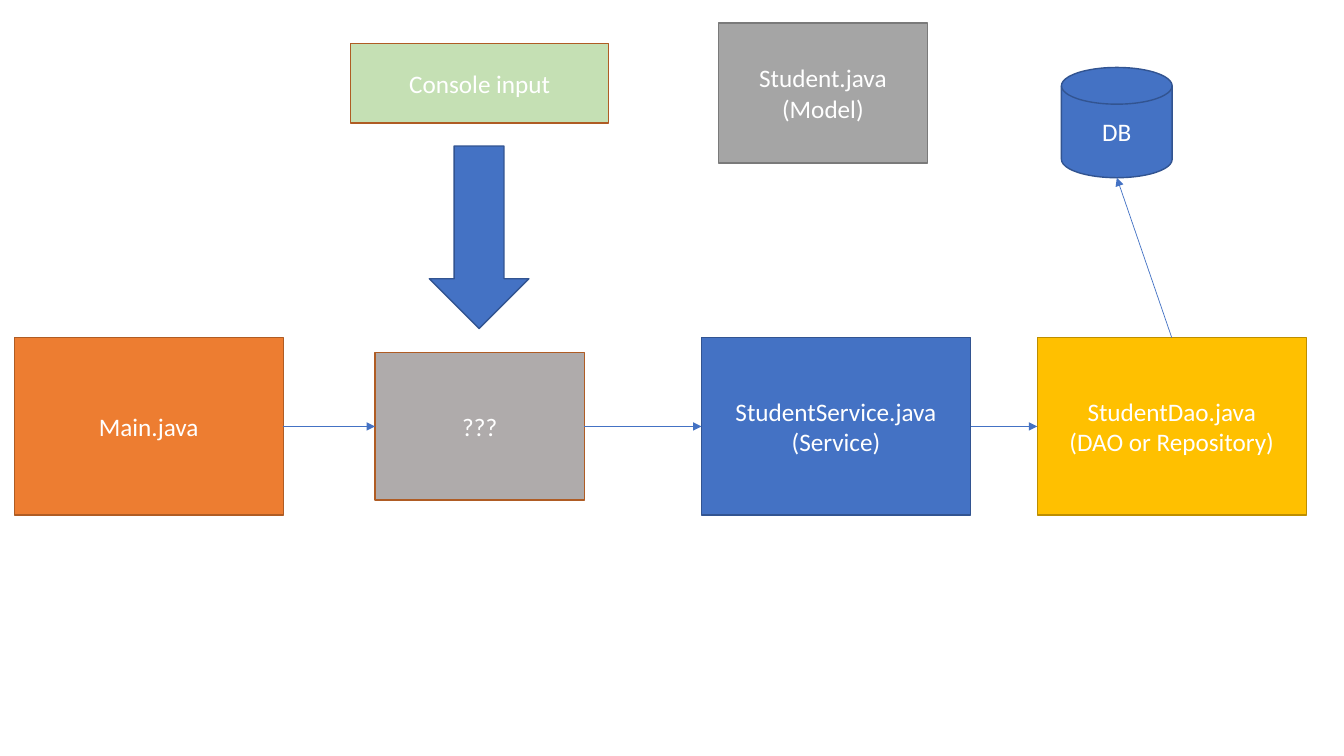
from dataclasses import dataclass

from pptx import Presentation
from pptx.dml.color import RGBColor
from pptx.enum.shapes import MSO_CONNECTOR, MSO_SHAPE
from pptx.enum.text import MSO_ANCHOR, PP_ALIGN
from pptx.oxml.ns import qn
from pptx.util import Cm, Pt
from lxml.etree import SubElement


@dataclass(frozen=True)
class Theme:
    font: str = "Calibri"
    text_size: int = 18
    outline_width: float = 1
    connector_width: float = 0.5
    text: str = "FFFFFF"
    blue: str = "4472C4"
    blue_edge: str = "325491"
    orange: str = "ED7D31"
    orange_edge: str = "AF5C24"
    yellow: str = "FFC000"
    yellow_edge: str = "BD8E00"
    gray: str = "A5A5A5"
    gray_edge: str = "7A7A7A"
    warm_gray: str = "AFABAB"
    green: str = "C5E0B4"


theme = Theme()
LAYER_TOP, LAYER_WIDTH, LAYER_HEIGHT = 8.51, 6.78, 4.47
TOP_SITE, LEFT_SITE, RIGHT_SITE = 0, 1, 3


def add_block(kind, left, top, width, height, fill, edge, text=""):
    shape = slide.shapes.add_shape(kind, Cm(left), Cm(top), Cm(width), Cm(height))
    shape.shadow.inherit = False
    shape.fill.solid()
    shape.fill.fore_color.rgb = RGBColor.from_string(fill)
    shape.line.color.rgb = RGBColor.from_string(edge)
    shape.line.width = Pt(theme.outline_width)
    text_frame = shape.text_frame
    text_frame.text = text
    text_frame.word_wrap = True
    text_frame.vertical_anchor = MSO_ANCHOR.MIDDLE
    for paragraph in text_frame.paragraphs:
        paragraph.alignment = PP_ALIGN.CENTER
        for run in paragraph.runs:
            run.font.name = theme.font
            run.font.size = Pt(theme.text_size)
            run.font.color.rgb = RGBColor.from_string(theme.text)
    return shape


def add_arrow(source, source_site, end_x, end_y):
    """Draw an arrow from a connection site of source to a point."""
    connector = slide.shapes.add_connector(
        MSO_CONNECTOR.STRAIGHT, source.left, source.top, end_x, end_y)
    connector.begin_connect(source, source_site)
    connector.line.color.rgb = RGBColor.from_string(theme.blue)
    connector.line.width = Pt(theme.connector_width)
    SubElement(connector.line._get_or_add_ln(), qn("a:tailEnd"), type="triangle")
    SubElement(connector._element.spPr, qn("a:effectLst"))
    return connector


presentation = Presentation()
presentation.slide_width = Cm(33.87)
presentation.slide_height = Cm(19.05)
slide = presentation.slides.add_slide(presentation.slide_layouts[6])

# Model, database and console input
add_block(MSO_SHAPE.RECTANGLE, 18.11, 0.58, 5.26, 3.53,
          theme.gray, theme.gray_edge, "Student.java\n(Model)")
database = add_block(MSO_SHAPE.FLOWCHART_MAGNETIC_DISK, 26.75, 1.7, 2.79, 2.78,
                     theme.blue, theme.blue_edge, "DB")
add_block(MSO_SHAPE.RECTANGLE, 8.84, 1.09, 6.5, 2.01,
          theme.green, theme.orange_edge, "Console input")
add_block(MSO_SHAPE.DOWN_ARROW, 10.82, 3.68, 2.51, 4.6,
          theme.blue, theme.blue_edge)

# Row of application layers
main, service, dao = [
    add_block(MSO_SHAPE.RECTANGLE, left, LAYER_TOP, LAYER_WIDTH, LAYER_HEIGHT,
              fill, edge, text)
    for left, fill, edge, text in (
        (0.36, theme.orange, theme.orange_edge, "Main.java"),
        (17.68, theme.blue, theme.blue_edge, "StudentService.java\n(Service)"),
        (26.14, theme.yellow, theme.yellow_edge, "StudentDao.java\n(DAO or Repository)"),
    )
]
unknown = add_block(MSO_SHAPE.RECTANGLE, 9.45, 8.89, 5.28, 3.71,
                    theme.warm_gray, theme.orange_edge, "???")

# Call chain
for source, target in ((main, unknown), (unknown, service), (service, dao)):
    connector = add_arrow(source, RIGHT_SITE, target.left, target.top)
    connector.end_connect(target, LEFT_SITE)
add_arrow(dao, TOP_SITE, database.left + database.width // 2,
          database.top + database.height)

presentation.save("out.pptx")
